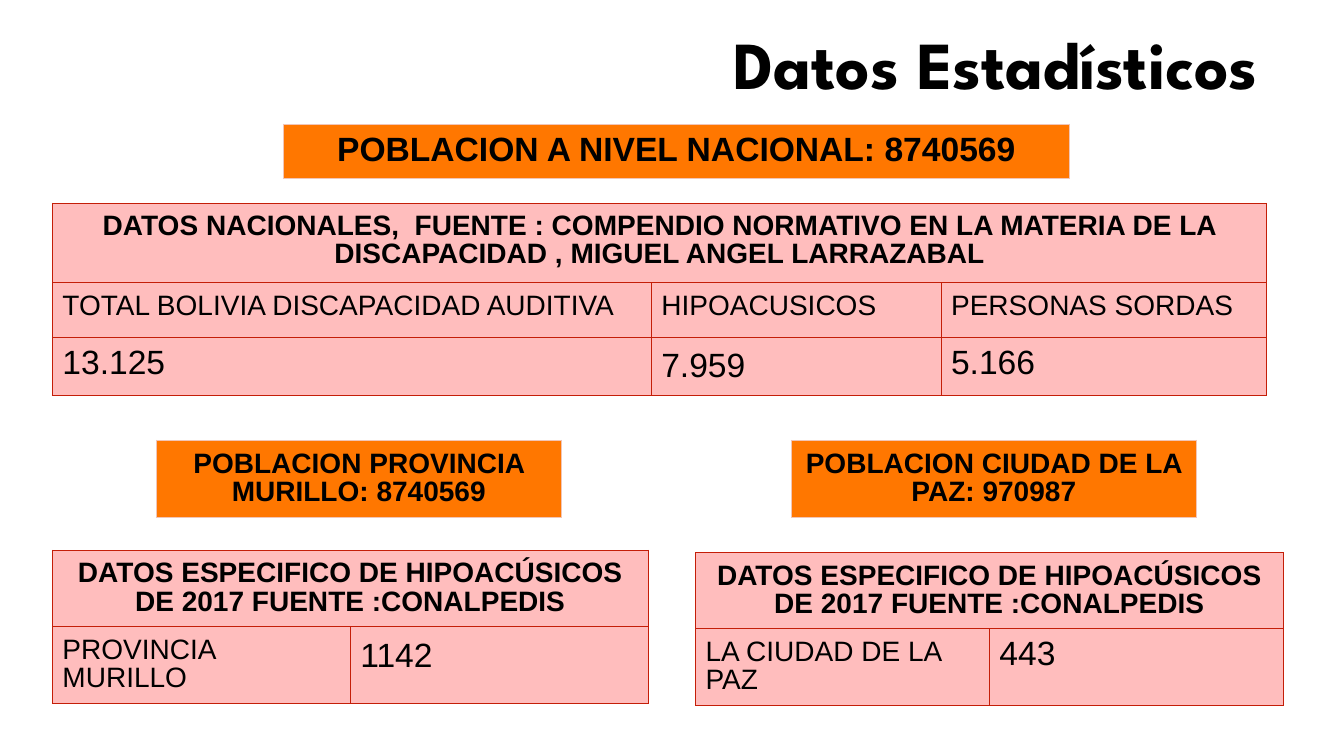
from dataclasses import dataclass

import pptx
import pptx.dml.color
import pptx.enum.text
import pptx.oxml
import pptx.oxml.ns
import pptx.util

Pt = pptx.util.Pt
ALIGN = pptx.enum.text.PP_ALIGN
ANCHOR = pptx.enum.text.MSO_ANCHOR

BLACK, ORANGE, PINK = "000000", "FF7700", "FFBDBD"
RED_LINE, PALE_LINE = "C41E08", "F1C5B7"
INSET = 7.2


@dataclass
class Entry:
    text: str
    size: float = 20
    heading: bool = False
    spacing: float = 0.9


@dataclass
class Grid:
    left: float
    top: float
    columns: list[float]
    heights: list[float]
    rows: list[list[Entry]]
    fill: str = PINK
    line: str = RED_LINE


def color(value: str) -> pptx.dml.color.RGBColor:
    return pptx.dml.color.RGBColor.from_string(value)


def set_insets(target) -> None:
    for side in ("left", "right", "top", "bottom"):
        setattr(target, f"margin_{side}", Pt(INSET))


def write(para, text: str, font: str, size: float, bold: bool, align, spacing: float) -> None:
    para.alignment = align
    para.line_spacing = spacing
    para.space_before = Pt(0)
    span = para.add_run()
    span.text = text
    span.font.name = font
    span.font.size = Pt(size)
    span.font.bold = bold
    span.font.color.rgb = color(BLACK)


def style_cell(cell, fill: str, line: str) -> None:
    cell.fill.solid()
    cell.fill.fore_color.rgb = color(fill)
    set_insets(cell)
    properties = cell._tc.get_or_add_tcPr()
    for index, side in enumerate("LRTB"):
        border = pptx.oxml.parse_xml(
            f'<a:ln{side} {pptx.oxml.ns.nsdecls("a")} w="{Pt(0.75)}"><a:solidFill>'
            f'<a:srgbClr val="{line}"/></a:solidFill></a:ln{side}>'
        )
        properties.insert(index, border)


def draw_grid(page, grid: Grid) -> None:
    frame = page.shapes.add_table(
        len(grid.heights), len(grid.columns), Pt(grid.left), Pt(grid.top),
        Pt(sum(grid.columns)), Pt(sum(grid.heights)),
    )
    table = frame.table
    table.first_row = table.horz_banding = False
    for column, width in zip(table.columns, grid.columns):
        column.width = Pt(width)
    for row, height in zip(table.rows, grid.heights):
        row.height = Pt(height)
    for cell in table.iter_cells():
        style_cell(cell, grid.fill, grid.line)
    for row_index, entries in enumerate(grid.rows):
        # A single entry spans the whole row
        if len(entries) < len(grid.columns):
            table.cell(row_index, 0).merge(table.cell(row_index, len(grid.columns) - 1))
        for column_index, entry in enumerate(entries):
            para = table.cell(row_index, column_index).text_frame.paragraphs[0]
            align = ALIGN.CENTER if entry.heading else ALIGN.LEFT
            write(para, entry.text, "Arial", entry.size, entry.heading, align, entry.spacing)


def banner(left: float, top: float, width: float, height: float, text: str, size: float) -> Grid:
    return Grid(left, top, [width], [height], [[Entry(text, size, True)]], ORANGE, PALE_LINE)


def local_data(left: float, top: float, width: float, place: str, count: Entry) -> Grid:
    heading = Entry("DATOS ESPECIFICO DE HIPOACÚSICOS DE 2017 FUENTE :CONALPEDIS", heading=True)
    return Grid(left, top, [width / 2] * 2, [54.4] * 2, [[heading], [Entry(place), count]])


NATIONAL = Grid(
    37.4, 145.2, [427.8, 207, 232.8], [56.6, 39.2, 40.8],
    [
        [Entry("DATOS NACIONALES,  FUENTE : COMPENDIO NORMATIVO EN LA MATERIA DE LA "
               "DISCAPACIDAD , MIGUEL ANGEL LARRAZABAL", heading=True)],
        [Entry("TOTAL BOLIVIA DISCAPACIDAD AUDITIVA"), Entry("HIPOACUSICOS"),
         Entry("PERSONAS SORDAS")],
        [Entry("13.125", 24), Entry("7.959", 24, spacing=1.0), Entry("5.166", 24)],
    ],
)

GRIDS = [
    banner(202.3, 88.6, 561.6, 38.6, "POBLACION A NIVEL NACIONAL: 8740569", 24),
    NATIONAL,
    banner(111.6, 314.6, 289.4, 55, "POBLACION PROVINCIA MURILLO: 8740569", 20),
    banner(565.2, 314.6, 289.4, 55, "POBLACION CIUDAD DE LA PAZ: 970987", 20),
    local_data(37.4, 393.1, 425.6, "PROVINCIA MURILLO", Entry("1142", 24, spacing=1.0)),
    local_data(496.8, 394.6, 419.8, "LA CIUDAD DE LA PAZ", Entry("443", 24)),
]


def main() -> None:
    deck = pptx.Presentation()
    deck.slide_width, deck.slide_height = Pt(960), Pt(540)
    page = deck.slides.add_slide(deck.slide_layouts[5])

    # Title
    title = page.shapes.title
    title.left, title.top, title.width, title.height = Pt(395.3), Pt(9.4), Pt(510.5), Pt(77.8)
    box = title.text_frame
    box.word_wrap = True
    box.auto_size = pptx.enum.text.MSO_AUTO_SIZE.NONE
    box.vertical_anchor = ANCHOR.MIDDLE
    set_insets(box)
    write(box.paragraphs[0], "Datos Estadísticos", "League Spartan", 48, True, ALIGN.RIGHT, 0.9)

    # Banners and data tables
    for grid in GRIDS:
        draw_grid(page, grid)

    deck.save("out.pptx")


if __name__ == "__main__":
    main()
